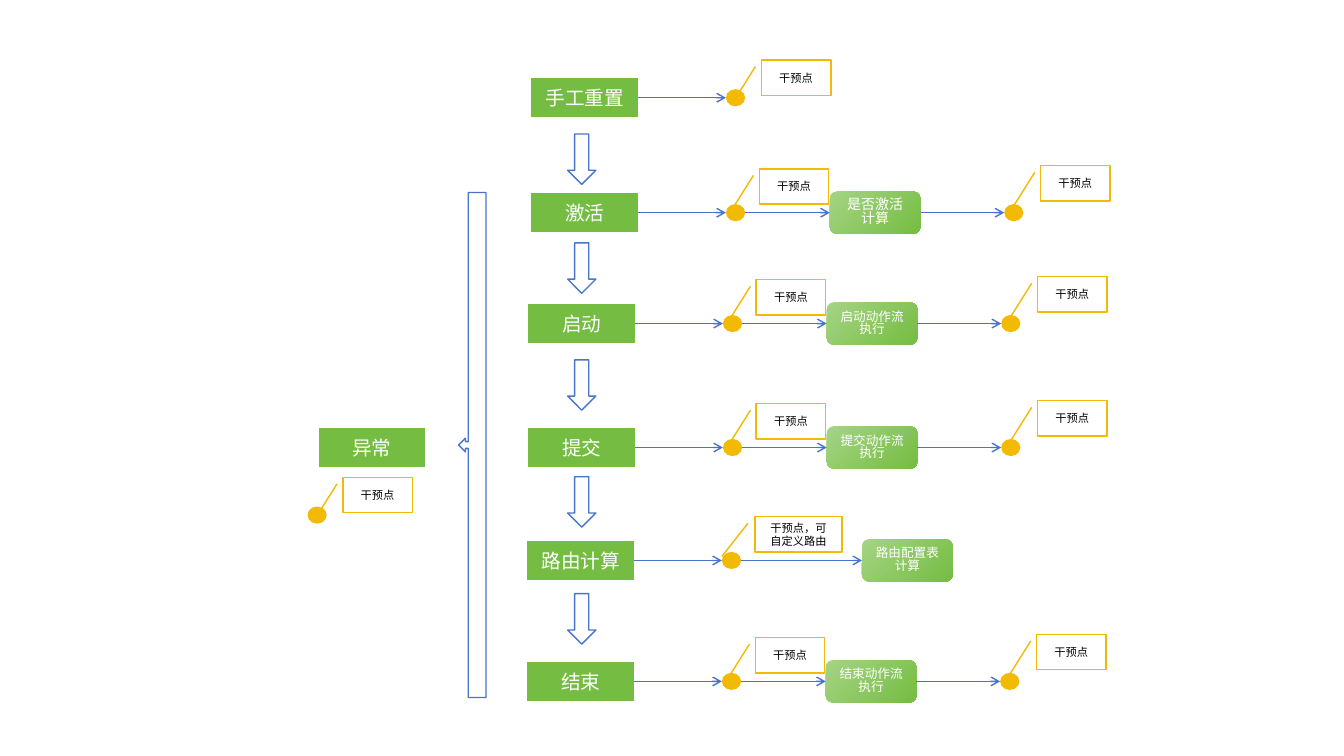
from dataclasses import dataclass

from lxml.etree import SubElement
from pptx import Presentation
from pptx.dml.color import RGBColor as RGB
from pptx.enum.shapes import MSO_CONNECTOR as CONN, MSO_SHAPE as SHAPE
from pptx.enum.text import MSO_ANCHOR as ANCHOR, PP_ALIGN as ALIGN
from pptx.oxml.ns import qn
from pptx.util import Inches, Pt


@dataclass(frozen=True)
class Theme:
    """Colours, font and type sizes of the slide."""
    green: RGB = RGB(0x75, 0xBD, 0x42)
    light_green: RGB = RGB(0xA5, 0xD4, 0x84)
    blue: RGB = RGB(0x48, 0x74, 0xCB)
    gold: RGB = RGB(0xF2, 0xBA, 0x02)
    white: RGB = RGB(0xFF, 0xFF, 0xFF)
    black: RGB = RGB(0, 0, 0)
    font: str = "Arial"
    stage_size: int = 14
    step_size: int = 9
    check_size: int = 10
    note_size: int = 8
    line_width: int = 1


T = Theme()
STAGE_W, STAGE_H = 1.06, 0.39
STEP_W, STEP_H = 0.9, 0.42
DOT_W, DOT_H = 0.19, 0.17
NOTE_W, NOTE_H = 0.69, 0.35
NOTE = "干预点"
NEAR, FAR, ALONE = (0.33, -0.35), (0.36, -0.38), (0.35, -0.29)


def set_all(target, values):
    """Set every attribute named in values on target."""
    for name, value in values.items():
        setattr(target, name, value)


def add_box(s, kind, box, fill=None, line=None):
    """Add a flat preset shape in a box given in inches."""
    sp = s.shapes.add_shape(kind, *map(Inches, box))
    sp.shadow.inherit = False
    if fill is None:
        sp.fill.background()
    else:
        sp.fill.solid()
        sp.fill.fore_color.rgb = fill
    if line is None:
        sp.line.fill.background()
    else:
        sp.line.color.rgb = line
        sp.line.width = Pt(T.line_width)
    return sp


def write(sp, text, size, color, spacing=None):
    """Write one centred paragraph into a shape."""
    tf = sp.text_frame
    set_all(tf, {"word_wrap": True, "vertical_anchor": ANCHOR.MIDDLE})
    p = tf.paragraphs[0]
    set_all(p, {"alignment": ALIGN.CENTER, "line_spacing": spacing})
    r = p.add_run()
    r.text = text
    set_all(r.font, {"size": Pt(size), "name": T.font})
    r.font.color.rgb = color


def add_arrow(s, x1, x2, y, start=None, end=None):
    """Draw a level arrow, joined to the boxes it leaves or reaches."""
    cx = s.shapes.add_connector(CONN.STRAIGHT, *map(Inches, (x1, y, x2, y)))
    if start is not None:
        cx.begin_connect(start, 3)
    if end is not None:
        cx.end_connect(end, 1)
    cx.line.color.rgb = T.blue
    cx.line.width = Pt(T.line_width)
    SubElement(cx.line._get_or_add_ln(), qn("a:tailEnd"), type="arrow")
    SubElement(cx._element.spPr, qn("a:effectLst"))


def add_stage(s, x, mid, text):
    """Add a green stage box centred on the height mid."""
    sp = add_box(s, SHAPE.FLOWCHART_PROCESS,
                 (x, mid - STAGE_H / 2, STAGE_W, STAGE_H), T.green)
    write(sp, text, T.stage_size, T.white)
    return sp


def add_step(s, x, mid, text, size):
    """Add a rounded step with a diagonal gradient."""
    sp = add_box(s, SHAPE.ROUNDED_RECTANGLE,
                 (x, mid - STEP_H / 2, STEP_W, STEP_H))
    sp.fill.gradient()
    sp.fill.gradient_angle = 315
    for stop, color in zip(sp.fill.gradient_stops, (T.light_green, T.green)):
        stop.color.rgb = color
    write(sp, text, size, T.white, 0.8)
    return sp


def add_point(s, x, mid, offset, text=NOTE, width=NOTE_W):
    """Add an intervention dot and the callout placed relative to it."""
    top = mid - DOT_H / 2
    dx, dy = offset
    note = add_box(s, SHAPE.LINE_CALLOUT_1,
                   (x + dx, top + dy, width, NOTE_H), line=T.gold)
    write(note, text, T.note_size, T.black)
    add_box(s, SHAPE.FLOWCHART_SUMMING_JUNCTION,
            (x, top, DOT_W, DOT_H), T.gold)


def add_row(s, x, mid, name, step=None, size=T.step_size, step_dx=2.96,
            offset=NEAR, text=NOTE, width=NOTE_W, last=True):
    """Add a stage with its dot, optional step and optional closing dot."""
    dot, end_dot = x + 1.93, x + 4.69
    stage = add_stage(s, x, mid, name)
    add_point(s, dot, mid, offset, text, width)
    add_arrow(s, x + STAGE_W, dot, mid, start=stage)
    if step is None:
        return
    box = add_step(s, x + step_dx, mid, step, size)
    add_arrow(s, dot + DOT_W, x + step_dx, mid, end=box)
    if last:
        add_point(s, end_dot, mid, FAR)
        add_arrow(s, x + step_dx + STEP_W, end_dot, mid, start=box)


def add_flow(s):
    """Add the six stages and the block arrows between them."""
    rows = [
        dict(x=5.27, mid=0.97, name="手工重置", offset=ALONE),
        dict(x=5.27, mid=2.11, name="激活", step="是否激活计算",
             size=T.check_size),
        dict(x=5.24, mid=3.21, name="启动", step="启动动作流执行"),
        dict(x=5.24, mid=4.44, name="提交", step="提交动作流执行"),
        dict(x=5.23, mid=5.56, name="路由计算", step="路由配置表计算",
             step_dx=3.32, text="干预点，可自定义路由", width=0.86, last=False),
        dict(x=5.23, mid=6.76, name="结束", step="结束动作流执行"),
    ]
    for row in rows:
        add_row(s, **row)
    for top in [1.33] + [2.41 + 1.16 * i for i in range(4)]:
        add_box(s, SHAPE.DOWN_ARROW, (5.63, top, 0.28, 0.5), line=T.blue)


def add_exception(s, x, mid):
    """Add the exception stage, its dot and the bracket leading to it."""
    add_stage(s, x, mid, "异常")
    add_point(s, x - 0.11, mid + 0.67, ALONE)
    add_box(s, SHAPE.LEFT_ARROW_CALLOUT,
            (x + 1.39, mid - 2.53, 0.27, 5.01), line=T.blue)


def main():
    """Build the slide and save it."""
    prs = Presentation()
    set_all(prs, {"slide_width": Inches(13.33), "slide_height": Inches(7.5)})
    s = prs.slides.add_slide(prs.slide_layouts[6])
    add_flow(s)
    add_exception(s, 3.16, 4.44)
    prs.save("out.pptx")


if __name__ == "__main__":
    main()
